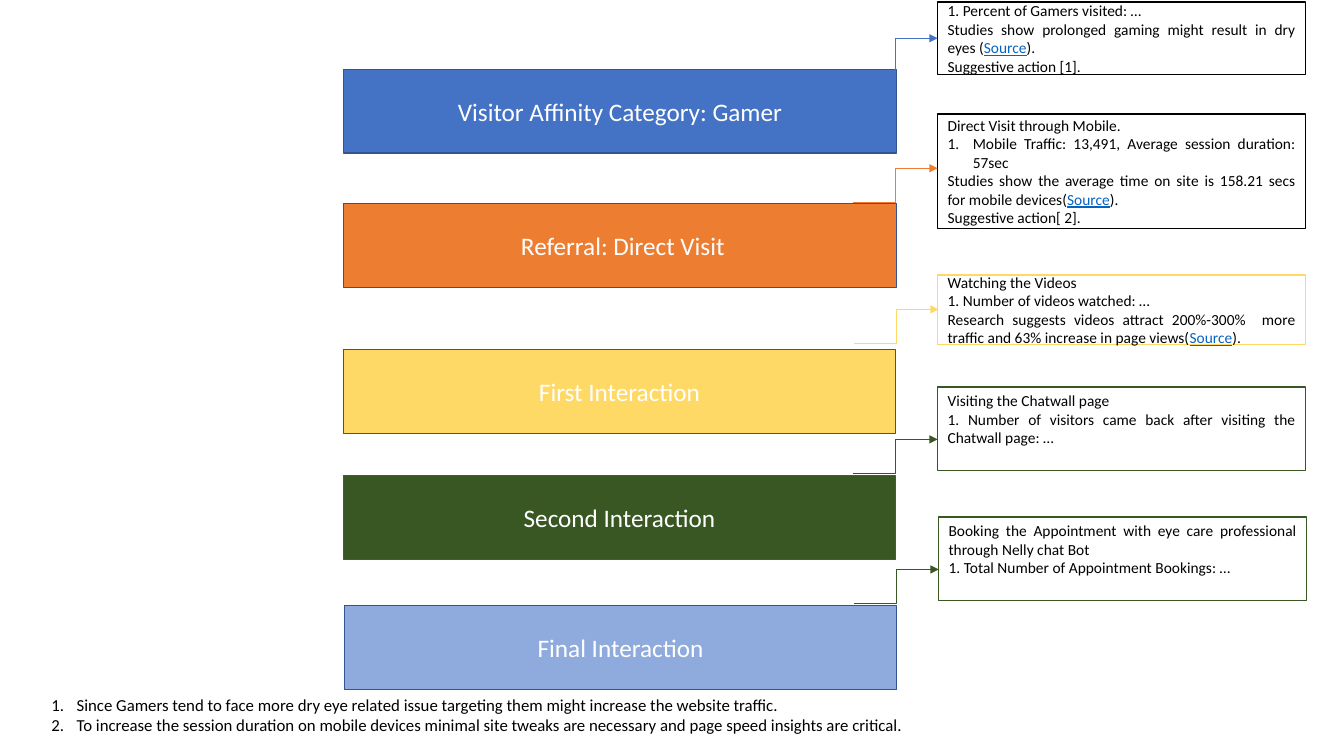
"""Build a slide of five visitor stages, each with an arrow to its note."""
from lxml import etree
from pptx import Presentation
from pptx.dml.color import RGBColor
from pptx.enum.shapes import MSO_CONNECTOR, MSO_SHAPE
from pptx.enum.text import MSO_ANCHOR, PP_ALIGN
from pptx.oxml.ns import qn
from pptx.util import Inches, Pt

RECT, ELBOW = MSO_SHAPE.RECTANGLE, MSO_CONNECTOR.ELBOW
MIDDLE, TOP = MSO_ANCHOR.MIDDLE, MSO_ANCHOR.TOP
LEFT, CENTER, JUSTIFY = PP_ALIGN.LEFT, PP_ALIGN.CENTER, PP_ALIGN.JUSTIFY

WHITE = RGBColor(0xFF, 0xFF, 0xFF)
BLACK = RGBColor(0x00, 0x00, 0x00)
BLUE = RGBColor(0x44, 0x72, 0xC4)
ORANGE = RGBColor(0xED, 0x7D, 0x31)
YELLOW = RGBColor(0xFF, 0xD9, 0x66)
GREEN = RGBColor(0x38, 0x57, 0x23)
PALE = RGBColor(0x8F, 0xAA, 0xDC)
NAVY = RGBColor(0x32, 0x54, 0x91)
LINK = RGBColor(0x05, 0x63, 0xC1)

NUM = "#"
WORD = "Source"


def write(frame, lines, size, color, align):
    """Fill a frame; lines that start with NUM are auto-numbered."""
    frame.word_wrap = True
    for i, line in enumerate(lines):
        para = frame.paragraphs[0] if i == 0 else frame.add_paragraph()
        para.alignment = align
        para.space_before = Pt(0)
        if line.startswith(NUM):
            props = para._p.get_or_add_pPr()
            props.set("marL", str(Inches(0.25)))
            props.set("indent", str(Inches(-0.25)))
            etree.SubElement(props, qn("a:buFont"), typeface="+mj-lt")
            etree.SubElement(props, qn("a:buAutoNum"), type="arabicPeriod")
        for part in line.removeprefix(NUM).partition(WORD):
            if part:
                run = para.add_run()
                run.text = part
                link = part == WORD
                look = {"name": "Calibri", "size": Pt(size), "underline": link}
                for key, value in look.items():
                    setattr(run.font, key, value)
                run.font.color.rgb = LINK if link else color


def box(area, fill, edge):
    """Add a flat rectangle with its text in the middle."""
    shape = slide.shapes.add_shape(RECT, *map(Inches, area))
    shape.shadow.inherit = False
    shape.fill.solid()
    shape.fill.fore_color.rgb = fill
    shape.line.color.rgb = edge
    shape.line.width = Pt(1)
    shape.text_frame.vertical_anchor = MIDDLE
    return shape.text_frame


deck = Presentation()
deck.slide_width, deck.slide_height = Inches(13.33), Inches(7.5)
slide = deck.slides.add_slide(deck.slide_layouts[1])
title = slide.shapes.title
title._element.getparent().remove(title._element)

stages = [
    ("Visitor Affinity Category: Gamer", BLUE, 3.41, 0.69, 5.48),
    (" Referral: Direct Visit", ORANGE, 3.41, 2.02, 5.48),
    ("First Interaction", YELLOW, 3.41, 3.47, 5.47),
    ("Second Interaction", GREEN, 3.41, 4.72, 5.47),
    ("Final Interaction", PALE, 3.42, 6.01, 5.47),
]
for name, fill, left, top, width in stages:
    write(box((left, top, width, 0.83), fill, NAVY), [name], 18, WHITE, CENTER)

notes = [
    (BLACK, 9.3, 0.02, 0.72, 0.05, [
        "1. Percent of Gamers visited: …",
        "Studies show prolonged gaming might result in dry eyes (Source).",
        "Suggestive action [1]."]),
    (BLACK, 9.3, 1.13, 1.14, 0.05, [
        "Direct Visit through Mobile.",
        NUM + "Mobile Traffic: 13,491, Average session duration: 57sec",
        "Studies show the average time on site is 158.21 secs for mobile devices(Source).",
        "Suggestive action[ 2]."]),
    (YELLOW, 9.3, 2.73, 0.69, 0.05, [
        "Watching the Videos",
        "1. Number of videos watched: …",
        "Research suggests videos attract 200%-300%  more traffic and 63% increase "
        "in page views(Source)."]),
    (GREEN, 9.3, 3.84, 0.83, 0.24, [
        "Visiting the Chatwall page",
        "1. Number of visitors came back after visiting the Chatwall page: …"]),
    (GREEN, 9.31, 5.13, 0.83, 0.24, [
        "Booking the Appointment with eye care professional through Nelly chat Bot",
        "1. Total Number of Appointment Bookings: …"]),
]
for edge, left, top, height, inset, lines in notes:
    frame = box((left, top, 3.65, height), WHITE, edge)
    frame.margin_bottom = Inches(inset)
    write(frame, lines, 11, BLACK, JUSTIFY)

arrows = [
    (BLUE, 8.46, 0.72),
    (ORANGE, 8.46, 2.01),
    (YELLOW, 8.47, 3.41),
    (GREEN, 8.46, 4.7),
    (GREEN, 8.47, 5.99),
]
for color, left, base in arrows:
    ends = (left, base, left + 0.84, base - 0.34)
    arrow = slide.shapes.add_connector(ELBOW, *map(Inches, ends))
    arrow.line.color.rgb = color
    arrow.line.width = Pt(0.5)
    etree.SubElement(arrow.line._get_or_add_ln(), qn("a:tailEnd"), type="triangle")
    etree.SubElement(arrow._element.spPr, qn("a:effectLst"))

body = slide.placeholders[1]
place = {"left": 0.41, "top": 6.84, "width": 12.85, "height": 0.5}
for key, value in place.items():
    setattr(body, key, Inches(value))
body.text_frame.vertical_anchor = TOP
write(body.text_frame, [
    NUM + "Since Gamers tend to face more dry eye related issue targeting them might "
    "increase the website traffic.",
    NUM + "To increase the session duration on mobile devices minimal site tweaks are "
    "necessary and page speed insights are critical."], 12, BLACK, LEFT)

deck.save("out.pptx")
